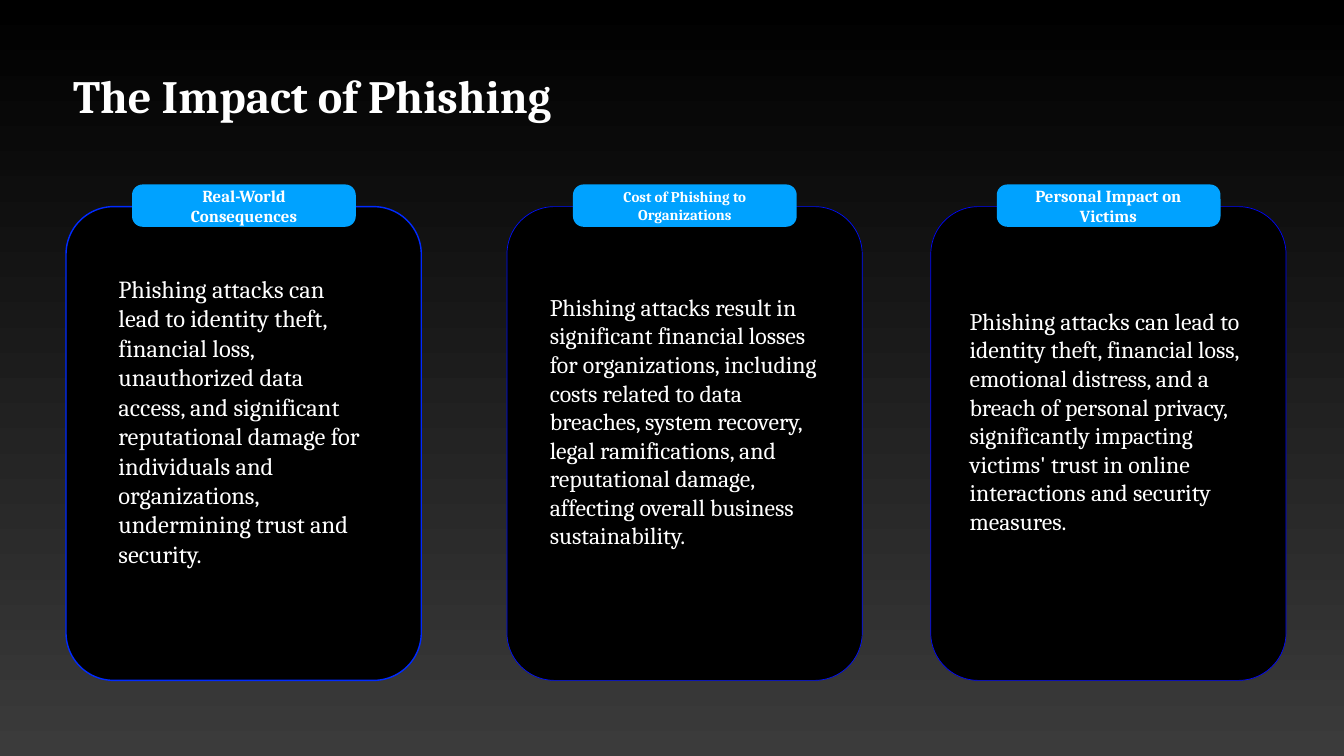
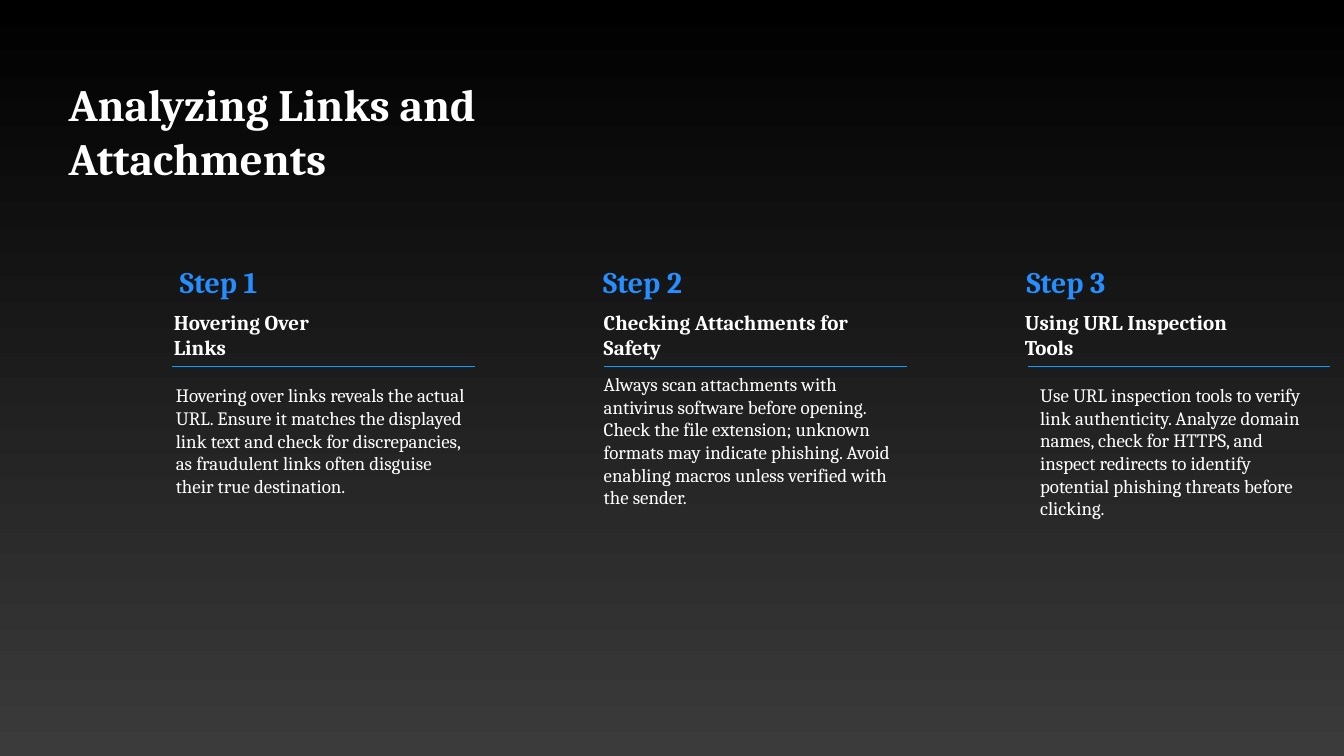
from pptx import Presentation
from pptx.dml.color import RGBColor as RGB
from pptx.enum.shapes import MSO_CONNECTOR as Conn, MSO_SHAPE as Shape
from pptx.enum.text import MSO_ANCHOR as Anchor, MSO_AUTO_SIZE as Auto, PP_ALIGN as Align
from pptx.oxml.ns import qn
from pptx.util import Inches, Pt
from lxml import etree

# Shared look
FONT = "Cambria"
BLACK = RGB(0x00, 0x00, 0x00)
GREY = RGB(0x3B, 0x3B, 0x3B)
WHITE = RGB(0xFF, 0xFF, 0xFF)
SKY = RGB(0x00, 0xA2, 0xFF)
STEP = RGB(0x26, 0x8E, 0xFF)
PAD = 0.08

# Impact cards: left edge, outline, then head and body as (text, box, size, wrap)
CARDS = [
    (1.31, RGB(0x00, 0x2A, 0xFF), 2,
     ("Real-World Consequences", (2.88, 3.8, 3.92, 0.56), 24, False),
     ("Phishing attacks can lead to identity theft, financial loss, "
      "unauthorized data access, and significant reputational damage for "
      "individuals and organizations, undermining trust and security.",
      (2.27, 5.65, 5.13, 5.41), 35)),
    (10.06, RGB(0x00, 0x10, 0xFF), 1,
     ("Cost of Phishing to Organizations", (11.51, 3.66, 4.16, 0.85), 21.3, True),
     ("Phishing attacks result in significant financial losses for "
      "organizations, including costs related to data breaches, system "
      "recovery, legal ramifications, and reputational damage, affecting "
      "overall business sustainability.",
      (10.83, 5.65, 5.52, 5.41), 34)),
    (18.47, RGB(0x00, 0x06, 0xFF), 1,
     ("Personal Impact on Victims", (19.94, 3.8, 4.11, 0.56), 24, False),
     ("Phishing attacks can lead to identity theft, financial loss, "
      "emotional distress, and a breach of personal privacy, significantly "
      "impacting victims' trust in online interactions and security measures.",
      (19.16, 5.94, 5.66, 4.82), 34)),
]

# Steps: rule start, head (text, left, width, wrap), body (text, left, width, height)
STEPS = [
    (3.41, ("Hovering Over Links", 3.37, 3.96, False),
     ("Hovering over links reveals the actual URL. Ensure it matches the "
      "displayed link text and check for discrepancies, as fraudulent links "
      "often disguise their true destination.", 3.41, 6.02, 2.38)),
    (11.99, ("Checking Attachments for Safety", 11.9, 6.19, True),
     ("Always scan attachments with antivirus software before opening. Check "
      "the file extension; unknown formats may indicate phishing. Avoid "
      "enabling macros unless verified with the sender.", 11.9, 6.19, 2.38)),
    (20.39, ("Using URL Inspection Tools", 20.26, 5.14, False),
     ("Use URL inspection tools to verify link authenticity. Analyze domain "
      "names, check for HTTPS, and inspect redirects to identify potential "
      "phishing threats before clicking.", 20.56, 5.65, 2.82)),
]


def add_slide(deck):
    slide = deck.slides.add_slide(deck.slide_layouts[6])
    fill = slide.background.fill
    fill.gradient()
    fill.gradient_angle = 270
    for stop, color, pos in zip(fill.gradient_stops, (BLACK, GREY), (0, 1)):
        stop.color.rgb = color
        stop.position = pos
    return slide


def add_text(slide, text, box, size, before, color=WHITE, bold=False,
             wrap=True, align=None):
    frame = slide.shapes.add_textbox(*map(Inches, box)).text_frame
    frame.word_wrap = wrap
    frame.auto_size = Auto.SHAPE_TO_FIT_TEXT
    frame.vertical_anchor = Anchor.MIDDLE
    frame.margin_left = frame.margin_right = Inches(PAD)
    frame.margin_top = frame.margin_bottom = Inches(PAD)
    para = frame.paragraphs[0]
    para.space_before = Pt(before)
    para.alignment = align
    run = para.add_run()
    run.text = text
    font = run.font
    font.name, font.size, font.bold = FONT, Pt(size), bold
    font.color.rgb = color


def add_title(slide, text, box, size, wrap=True):
    add_text(slide, text, box, size, 39, bold=True, wrap=wrap)


def add_body(slide, text, box, size):
    add_text(slide, text, box, size, 20)


def add_panel(slide, box, adj, fill, line=None, width=1):
    panel = slide.shapes.add_shape(Shape.ROUNDED_RECTANGLE, *map(Inches, box))
    panel.shadow.inherit = False
    panel.adjustments[0] = adj
    panel.fill.solid()
    panel.fill.fore_color.rgb = fill
    if line is None:
        panel.line.fill.background()
    else:
        panel.line.color.rgb = line
        panel.line.width = Pt(width)


def add_rule(slide, left, top, width):
    rule = slide.shapes.add_connector(
        Conn.STRAIGHT, *map(Inches, (left, top, left + width, top)))
    rule.line.color.rgb = SKY
    rule.line.width = Pt(1)
    etree.SubElement(rule._element.spPr, qn("a:effectLst"))


def impact(deck):
    slide = add_slide(deck)
    add_title(slide, "The Impact of Phishing", (1.37, 1.25, 9.84, 1.27), 66)
    for left, line, width, head, body in CARDS:
        # Card with its tab
        add_panel(slide, (left, 4.1, 7.05, 9.4), 0.134, BLACK, line, width)
        add_panel(slide, (left + 1.31, 3.66, 4.44, 0.84), 0.248, SKY)
        # Body and tab label
        add_body(slide, *body)
        text, box, size, wrap = head
        add_text(slide, text, box, size, int(size), bold=True, wrap=wrap,
                 align=Align.CENTER)


def links(deck):
    slide = add_slide(deck)
    add_title(slide, "Analyzing Links and Attachments",
              (1.28, 1.98, 13.09, 1.23), 64, wrap=False)
    for num, (start, head, body) in enumerate(STEPS):
        # Step number
        add_text(slide, f"Step {num + 1}", (3.49 + 8.4 * num, 5.15, 1.73, 0.88),
                 42.7, 26, STEP, bold=True, wrap=False)
        # Heading over its rule
        text, left, width, wrap = head
        add_text(slide, text, (left, 6.3, width, 0.67), 30, 24, bold=True,
                 wrap=wrap)
        add_rule(slide, start, 7.26, 6.01)
        # Advice
        text, left, width, height = body
        add_body(slide, text, (left, 7.55, width, height), 27)


def main():
    deck = Presentation()
    deck.slide_width, deck.slide_height = Inches(26.67), Inches(15)
    impact(deck)
    links(deck)
    deck.save("out.pptx")


if __name__ == "__main__":
    main()
